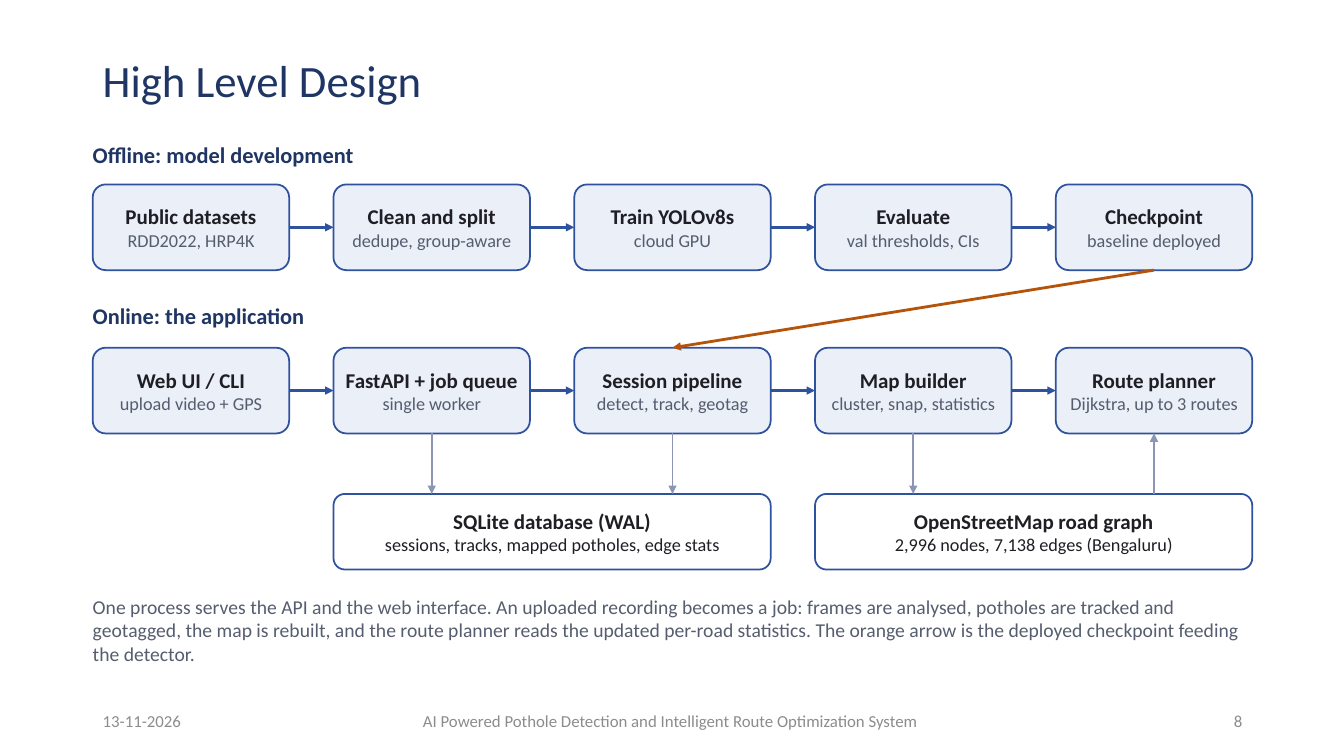
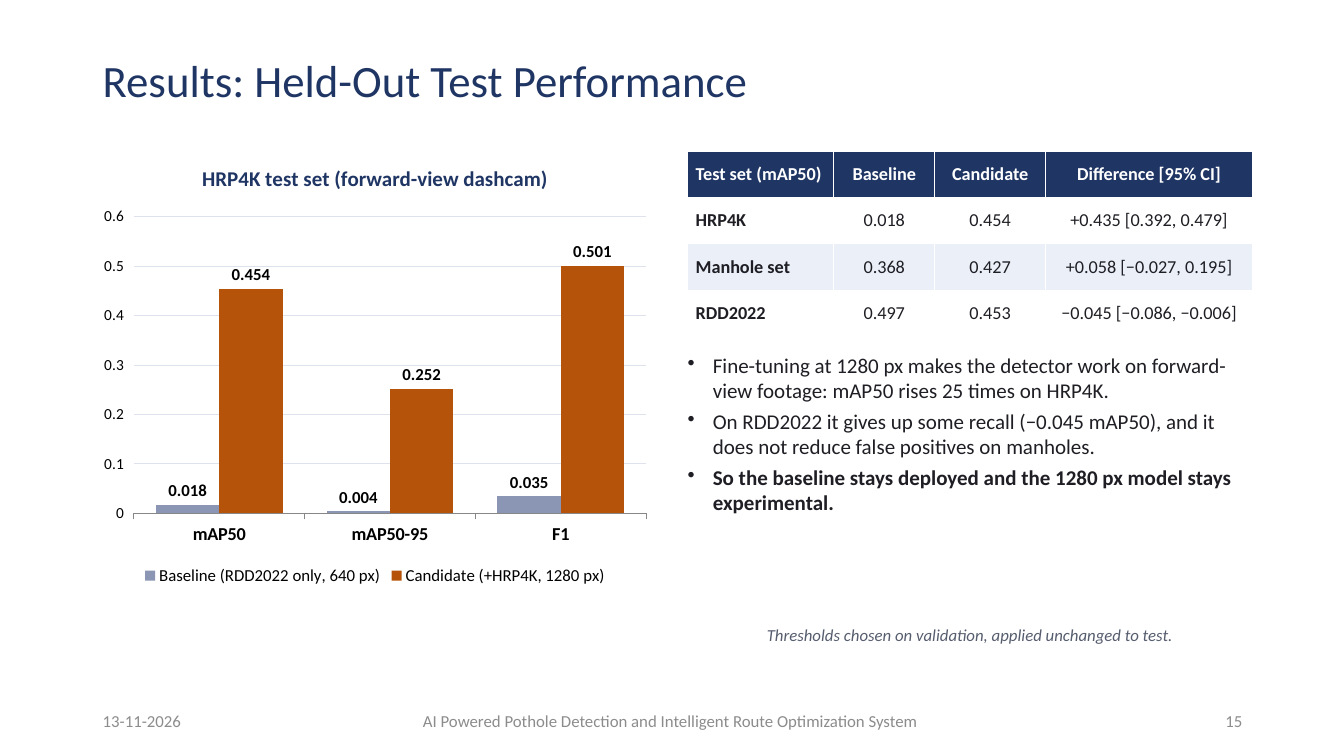
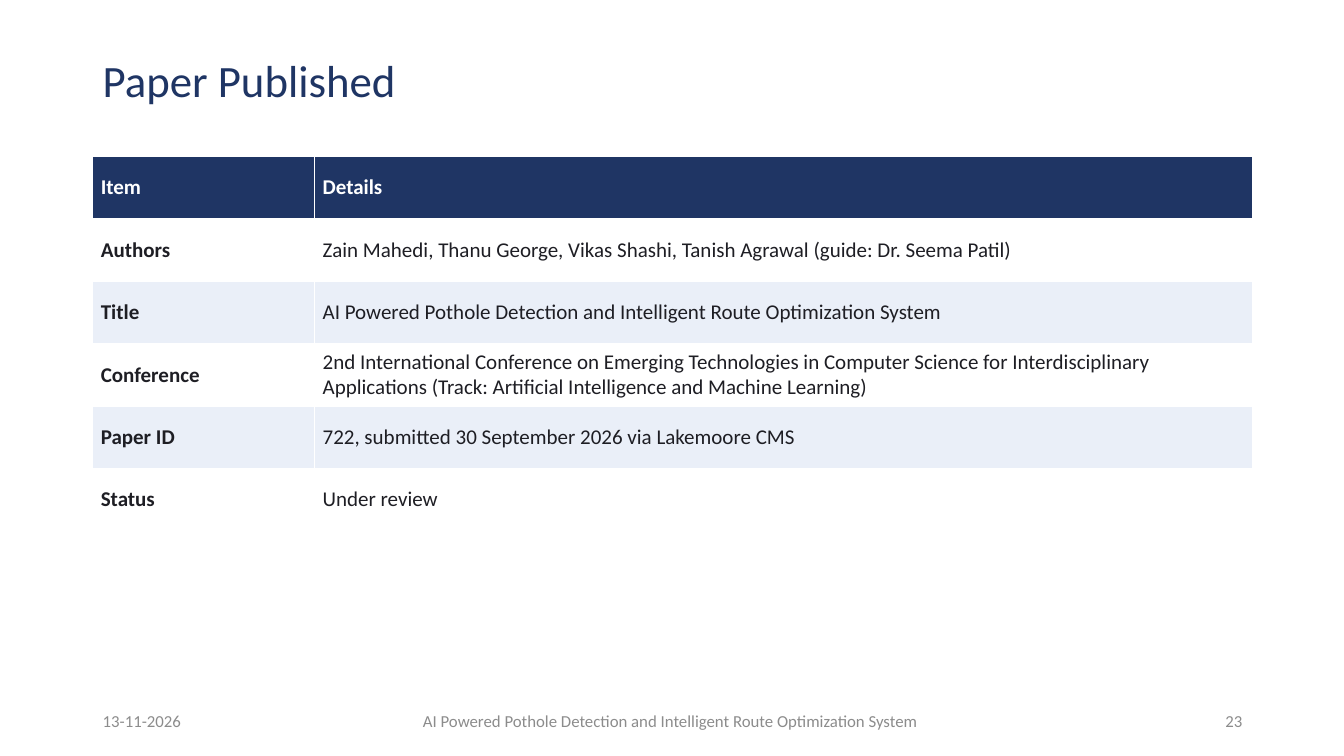
import pptx
import pptx.chart.data
import pptx.dml.color
import pptx.enum.chart
import pptx.enum.shapes
import pptx.enum.text
import pptx.oxml
import pptx.oxml.ns
import pptx.util

Inches, Pt = pptx.util.Inches, pptx.util.Pt
ALIGN = pptx.enum.text.PP_ALIGN
MIDDLE = pptx.enum.text.MSO_ANCHOR.MIDDLE
NS = pptx.oxml.ns.nsdecls("a")

FONT = "Calibri"
NAVY, BLUE, PALE, WHITE = "1F3564", "2F529E", "EAEFF8", "FFFFFF"
INK, SLATE, GREY, STEEL = "1E1E24", "555D6E", "8C8C8C", "8A96B4"
ORANGE, GRID, BLACK = "B45309", "DDE2EC", "000000"
LEFT, WIDTH = 0.92, 11.5
TOPIC = "AI Powered Pothole Detection and Intelligent Route Optimization System"
DATE = "13-11-2026"


def color(code):
    return pptx.dml.color.RGBColor.from_string(code)


def style(font, size, code, bold=False, italic=False):
    font.name, font.size = FONT, Pt(size)
    font.bold, font.italic = bold, italic
    font.color.rgb = color(code)


def add_run(para, words, *look):
    run = para.add_run()
    run.text = words
    style(run.font, *look)


def inset(part, x, y):
    """Set the inner margins of a text frame or a table cell."""
    part.margin_left = part.margin_right = Inches(x)
    part.margin_top = part.margin_bottom = Inches(y)


def add_text(slide, box, words, look, align=ALIGN.LEFT, pad=(0, 0), anchor=None):
    frame = slide.shapes.add_textbox(*map(Inches, box)).text_frame
    frame.word_wrap = True
    inset(frame, *pad)
    if anchor is not None:
        frame.vertical_anchor = anchor
    para = frame.paragraphs[0]
    para.alignment = align
    add_run(para, words, *look)
    return para


def add_slide(deck, title, number):
    """Start a slide with the shared title and footer."""
    slide = deck.slides.add_slide(deck.slide_layouts[6])
    pad = (0.1, 0.05)
    head = add_text(slide, (LEFT, 0.4, 10.9, 0.85), title, (32, NAVY),
                    pad=pad, anchor=MIDDLE)
    head.line_spacing = 0.9
    for x, wide, words, align in (
        (LEFT, 3, DATE, ALIGN.LEFT),
        (3.6, 6.1, TOPIC, ALIGN.CENTER),
        (9.42, 3, str(number), ALIGN.RIGHT),
    ):
        add_text(slide, (x, 6.95, wide, 0.4), words, (12, GREY), align, pad, MIDDLE)
    return slide


def add_node(slide, box, name, note, fill=PALE, tone=SLATE):
    node = slide.shapes.add_shape(
        pptx.enum.shapes.MSO_SHAPE.ROUNDED_RECTANGLE, *map(Inches, box))
    node.adjustments[0] = 0.15
    node.shadow.inherit = False
    node.fill.solid()
    node.fill.fore_color.rgb = color(fill)
    node.line.color.rgb = color(BLUE)
    node.line.width = Pt(1.25)
    frame = node.text_frame
    frame.word_wrap = True
    frame.vertical_anchor = MIDDLE
    inset(frame, 0.06, 0.03)
    first, second = frame.paragraphs[0], frame.add_paragraph()
    first.alignment = second.alignment = ALIGN.CENTER
    add_run(first, name, 15, INK, True)
    add_run(second, note, 13, tone)


def add_arrow(slide, start, end, code, width):
    arrow = slide.shapes.add_connector(
        pptx.enum.shapes.MSO_CONNECTOR.STRAIGHT, *map(Inches, start + end))
    arrow.line.color.rgb = color(code)
    arrow.line.width = Pt(width)
    arrow.line._get_or_add_ln().append(
        pptx.oxml.parse_xml(f'<a:tailEnd {NS} type="triangle"/>'))
    arrow._element.spPr.append(pptx.oxml.parse_xml(f"<a:effectLst {NS}/>"))


def add_flow(slide, box, gap, steps):
    """Draw equal nodes joined left to right; return their centre lines."""
    left, top, width, high = box
    wide = (width - gap * (len(steps) - 1)) / len(steps)
    mids = []
    for i, (name, note) in enumerate(steps):
        x = left + i * (wide + gap)
        add_node(slide, (x, top, wide, high), name, note)
        if i:
            y = top + high / 2
            add_arrow(slide, (x - gap, y), (x, y), BLUE, 1.75)
        mids.append(x + wide / 2)
    return mids


def add_table(slide, box, cols, rows, size, align=ALIGN.LEFT):
    """Draw a table with a dark head; align applies after the first column."""
    table = slide.shapes.add_table(
        len(rows), len(cols), *map(Inches, box)).table
    for col, wide in zip(table.columns, cols):
        col.width = Inches(wide)
    for r, row in enumerate(rows):
        fill = NAVY if r == 0 else WHITE if r % 2 else PALE
        for c, words in enumerate(row):
            cell = table.cell(r, c)
            cell.fill.solid()
            cell.fill.fore_color.rgb = color(fill)
            cell.vertical_anchor = MIDDLE
            inset(cell, 0.08, 0.03)
            para = cell.text_frame.paragraphs[0]
            para.alignment = align if c else ALIGN.LEFT
            add_run(para, words, size, INK if r else WHITE, r == 0 or c == 0)


def add_bars(slide, box, title, cats, series):
    data = pptx.chart.data.CategoryChartData()
    data.categories = cats
    for name, _, vals in series:
        data.add_series(name, vals)
    chart = slide.shapes.add_chart(
        pptx.enum.chart.XL_CHART_TYPE.COLUMN_CLUSTERED,
        *map(Inches, box), data).chart
    style(chart.font, 18, BLACK)
    chart.has_title = True
    add_run(chart.chart_title.text_frame.paragraphs[0], title, 15, NAVY, True)
    chart.chart_title.include_in_layout = False
    chart.has_legend = True
    chart.legend.position = pptx.enum.chart.XL_LEGEND_POSITION.BOTTOM
    chart.legend.include_in_layout = False
    style(chart.legend.font, 12, BLACK)
    style(chart.category_axis.tick_labels.font, 13, BLACK, True)

    axis = chart.value_axis
    axis.minimum_scale, axis.maximum_scale = 0, 0.6
    style(axis.tick_labels.font, 11, BLACK)
    axis.format.line.fill.background()
    axis.major_gridlines.format.line.color.rgb = color(GRID)
    axis.major_gridlines.format.line.width = Pt(0.75)

    plot = chart.plots[0]
    plot.gap_width = 70
    plot.vary_by_categories = False
    for bars, (_, code, _) in zip(plot.series, series):
        bars.format.fill.solid()
        bars.format.fill.fore_color.rgb = color(code)
        labels = bars.data_labels
        labels.show_value = True
        labels.number_format = "0.000"
        labels.number_format_is_linked = False
        labels.position = pptx.enum.chart.XL_LABEL_POSITION.OUTSIDE_END
        style(labels.font, 12, BLACK, True)


def add_list(slide, box, items):
    frame = slide.shapes.add_textbox(*map(Inches, box)).text_frame
    frame.word_wrap = True
    inset(frame, 0, 0)
    for i, (words, bold) in enumerate(items):
        para = frame.add_paragraph() if i else frame.paragraphs[0]
        props = para._p.get_or_add_pPr()
        props.set("marL", str(Inches(0.25)))
        props.set("indent", str(Inches(-0.25)))
        props.append(pptx.oxml.parse_xml(f'<a:buChar {NS} char="•"/>'))
        para.space_after = Pt(4)
        add_run(para, words, 15, INK, bold)


def design_slide(deck):
    slide = add_slide(deck, "High Level Design", 8)
    gap, high = 0.44, 0.85
    upper, lower, store = 1.83, 3.45, 4.9
    flows = (
        ("Offline: model development", 1.4, upper, (
            ("Public datasets", "RDD2022, HRP4K"),
            ("Clean and split", "dedupe, group-aware"),
            ("Train YOLOv8s", "cloud GPU"),
            ("Evaluate", "val thresholds, CIs"),
            ("Checkpoint", "baseline deployed"))),
        ("Online: the application", 3, lower, (
            ("Web UI / CLI", "upload video + GPS"),
            ("FastAPI + job queue", "single worker"),
            ("Session pipeline", "detect, track, geotag"),
            ("Map builder", "cluster, snap, statistics"),
            ("Route planner", "Dijkstra, up to 3 routes"))),
    )
    for label, y, top, steps in flows:
        add_text(slide, (LEFT, y, WIDTH, 0.35), label, (16, NAVY, True))
        mids = add_flow(slide, (LEFT, top, WIDTH, high), gap, steps)
    add_arrow(slide, (mids[4], upper + high), (mids[2], lower), ORANGE, 2)

    pitch = mids[1] - mids[0]
    for i, name, note in (
        (1, "SQLite database (WAL)", "sessions, tracks, mapped potholes, edge stats"),
        (3, "OpenStreetMap road graph", "2,996 nodes, 7,138 edges (Bengaluru)"),
    ):
        box = (LEFT + i * pitch, store, 2 * pitch - gap, 0.75)
        add_node(slide, box, name, note, WHITE, INK)
    for x in mids[1:4]:
        add_arrow(slide, (x, lower + high), (x, store), STEEL, 1.25)
    add_arrow(slide, (mids[4], store), (mids[4], lower + high), STEEL, 1.25)
    add_text(
        slide, (LEFT, 5.9, WIDTH, 0.8),
        "One process serves the API and the web interface. An uploaded recording "
        "becomes a job: frames are analysed, potholes are tracked and geotagged, "
        "the map is rebuilt, and the route planner reads the updated per-road "
        "statistics. The orange arrow is the deployed checkpoint feeding the "
        "detector.", (14, SLATE))


def results_slide(deck):
    slide = add_slide(deck, "Results: Held-Out Test Performance", 15)
    add_bars(
        slide, (LEFT, 1.45, 5.6, 4.4), "HRP4K test set (forward-view dashcam)",
        ("mAP50", "mAP50-95", "F1"), (
            ("Baseline (RDD2022 only, 640 px)", STEEL, (0.018, 0.004, 0.035)),
            ("Candidate (+HRP4K, 1280 px)", ORANGE, (0.454, 0.252, 0.501))))
    x, wide = 6.82, 5.6
    add_table(slide, (x, 1.5, wide, 1.84), (1.45, 1, 1.1, 2.05), (
        ("Test set (mAP50)", "Baseline", "Candidate", "Difference [95% CI]"),
        ("HRP4K", "0.018", "0.454", "+0.435 [0.392, 0.479]"),
        ("Manhole set", "0.368", "0.427", "+0.058 [−0.027, 0.195]"),
        ("RDD2022", "0.497", "0.453", "−0.045 [−0.086, −0.006]"),
    ), 13, ALIGN.CENTER)
    add_list(slide, (x, 3.5, wide, 2.6), (
        ("Fine-tuning at 1280 px makes the detector work on forward-view "
         "footage: mAP50 rises 25 times on HRP4K.", False),
        ("On RDD2022 it gives up some recall (−0.045 mAP50), and it does not "
         "reduce false positives on manholes.", False),
        ("So the baseline stays deployed and the 1280 px model stays "
         "experimental.", True)))
    add_text(slide, (x, 6.2, wide, 0.3),
             "Thresholds chosen on validation, applied unchanged to test.",
             (12, SLATE, False, True), ALIGN.CENTER)


def paper_slide(deck):
    slide = add_slide(deck, "Paper Published", 23)
    add_table(slide, (LEFT, 1.55, WIDTH, 3.72), (2.2, 9.3), (
        ("Item", "Details"),
        ("Authors", "Zain Mahedi, Thanu George, Vikas Shashi, Tanish Agrawal "
                    "(guide: Dr. Seema Patil)"),
        ("Title", TOPIC),
        ("Conference", "2nd International Conference on Emerging Technologies in "
                       "Computer Science for Interdisciplinary Applications "
                       "(Track: Artificial Intelligence and Machine Learning)"),
        ("Paper ID", "722, submitted 30 September 2026 via Lakemoore CMS"),
        ("Status", "Under review"),
    ), 15)


def main():
    deck = pptx.Presentation()
    deck.slide_width, deck.slide_height = Inches(13.33), Inches(7.5)
    design_slide(deck)
    results_slide(deck)
    paper_slide(deck)
    deck.save("out.pptx")


if __name__ == "__main__":
    main()
